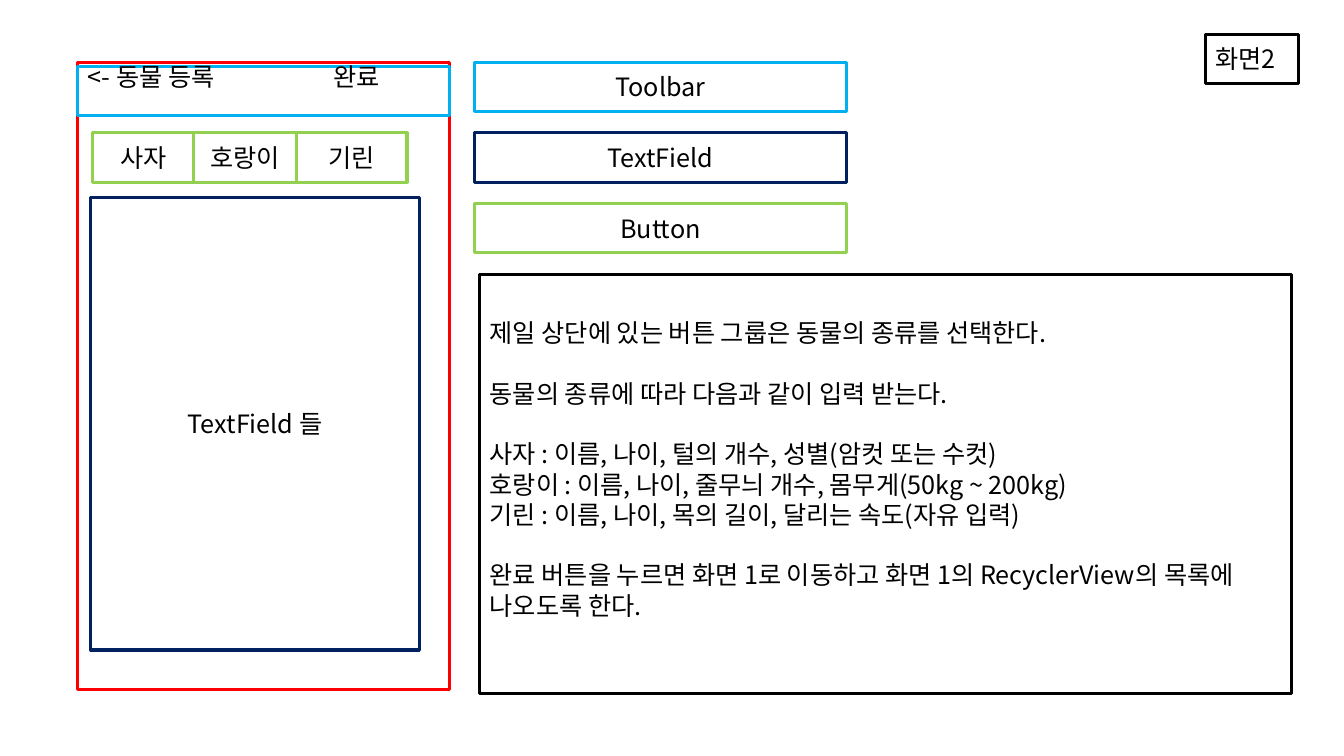
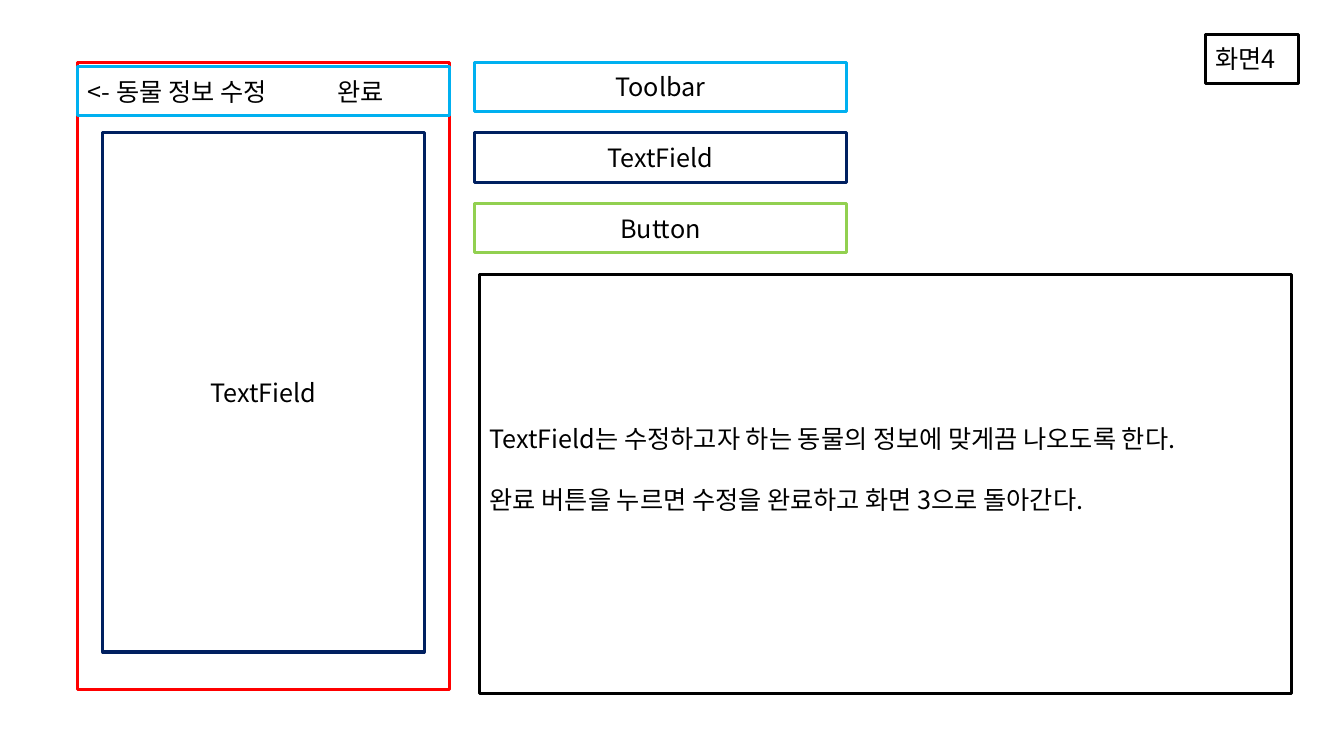
from dataclasses import dataclass
from itertools import accumulate

from lxml import etree
from pptx import Presentation
from pptx.dml.color import RGBColor
from pptx.enum.shapes import MSO_SHAPE
from pptx.enum.text import MSO_ANCHOR, MSO_AUTO_SIZE, PP_ALIGN
from pptx.oxml.ns import qn
from pptx.util import Cm, Pt

RECTANGLE = MSO_SHAPE.RECTANGLE
LEFT, CENTER = PP_ALIGN.LEFT, PP_ALIGN.CENTER
MIDDLE = MSO_ANCHOR.MIDDLE
NO_AUTOFIT = MSO_AUTO_SIZE.NONE
TITLE_AND_CONTENT = 1


@dataclass(frozen=True)
class Theme:
    font: str = "Noto Sans CJK KR"
    text_size: float = 18
    line_pitch: float = 21.6
    outline_width: float = 2.25
    black: str = "000000"
    phone: str = "FF0000"
    toolbar: str = "00B0F0"
    text_field: str = "002060"
    button: str = "92D050"


# Boxes are left, top, width, height in centimetres
ROW_HEIGHT = 1.24
ROW_TOP = 1.57
ROW_PITCH = 1.78
PHONE_BOX = (1.96, ROW_TOP, 9.37, 15.8)
TOOLBAR_BOX = (1.96, 1.68, 9.37, ROW_HEIGHT)
TAG_BOX = (30.38, 0.86, 2.34, ROW_HEIGHT)
DESCRIPTION_BOX = (12.09, 6.91, 20.45, 10.57)
LEGEND_LEFT, LEGEND_WIDTH = 11.96, 9.37
BUTTON_LEFT = 2.34
INSET = 0.13
RAISED_INSET = 0.89  # lifts centred text by half a line


class WireframeDeck:
    """Holds the presentation, its theme and the slide being filled."""

    def __init__(self, theme):
        self.theme = theme
        self.presentation = Presentation()
        self.presentation.slide_width = Cm(33.87)
        self.presentation.slide_height = Cm(19.05)
        self.slide = None

    def add_screen(self, tag, toolbar_text, tab_stop, description, bottom_inset=INSET):
        """Start a slide with everything that all screens share."""
        layout = self.presentation.slide_layouts[TITLE_AND_CONTENT]
        self.slide = self.presentation.slides.add_slide(layout)
        self.add_tag(tag)
        self.add_description(description)
        self.add_box(PHONE_BOX, self.theme.phone)
        self.add_toolbar(toolbar_text, tab_stop, bottom_inset)
        self.add_legend()

    def add_tag(self, text):
        title = self.slide.shapes.title
        self.style_box(title, TAG_BOX, self.theme.black)
        self.set_lines(title.text_frame, [text], LEFT)

    def add_description(self, groups):
        """Fill the body with groups of lines, one line of space between groups."""
        body = self.slide.placeholders[1]
        self.style_box(body, DESCRIPTION_BOX, self.theme.black, RAISED_INSET)
        self.set_lines(body.text_frame, [line for group in groups for line in group], LEFT)
        group_starts = set(accumulate(len(group) for group in groups))
        for index, paragraph in enumerate(body.text_frame.paragraphs):
            if index in group_starts:
                paragraph.space_before = Pt(self.theme.line_pitch)
            properties = paragraph._p.get_or_add_pPr()
            for name in ("marL", "indent"):
                properties.set(name, "0")
            etree.SubElement(properties, qn("a:buNone"))

    def add_toolbar(self, text, tab_stop, bottom_inset):
        toolbar = self.add_box(TOOLBAR_BOX, self.theme.toolbar, text, LEFT, bottom_inset)
        properties = toolbar.text_frame.paragraphs[0]._p.get_or_add_pPr()
        tabs = etree.SubElement(properties, qn("a:tabLst"))
        etree.SubElement(tabs, qn("a:tab"), pos=str(Cm(tab_stop)), algn="l")

    def add_legend(self):
        entries = {
            "Toolbar": self.theme.toolbar,
            "TextField": self.theme.text_field,
            "Button": self.theme.button,
        }
        for row, (label, color) in enumerate(entries.items()):
            top = ROW_TOP + row * ROW_PITCH
            self.add_box((LEGEND_LEFT, top, LEGEND_WIDTH, ROW_HEIGHT), color, label)

    def add_button_group(self, widths):
        left = BUTTON_LEFT
        for label, width in widths.items():
            box = (left, ROW_TOP + ROW_PITCH, width, ROW_HEIGHT)
            self.add_box(box, self.theme.button, label)
            left += width

    def add_text_field(self, box, text):
        self.add_box(box, self.theme.text_field, text)

    def add_box(self, box, color, text=None, alignment=CENTER, bottom_inset=INSET):
        shape = self.slide.shapes.add_shape(RECTANGLE, *map(Cm, box))
        self.style_box(shape, box, color, bottom_inset)
        if text:
            self.set_lines(shape.text_frame, [text], alignment)
        return shape

    def style_box(self, shape, box, color, bottom_inset=INSET):
        for name, value in zip(("left", "top", "width", "height"), box):
            setattr(shape, name, Cm(value))
        shape.shadow.inherit = False
        shape.fill.background()
        shape.line.color.rgb = RGBColor.from_string(color)
        shape.line.width = Pt(self.theme.outline_width)
        frame_format = {
            "word_wrap": True,
            "auto_size": NO_AUTOFIT,
            "vertical_anchor": MIDDLE,
            "margin_left": Cm(0.25),
            "margin_right": Cm(0.25),
            "margin_top": Cm(INSET),
            "margin_bottom": Cm(bottom_inset),
        }
        for name, value in frame_format.items():
            setattr(shape.text_frame, name, value)

    def set_lines(self, text_frame, lines, alignment):
        paragraph_format = {
            "alignment": alignment,
            "line_spacing": Pt(self.theme.line_pitch),
            "space_before": Pt(0),
            "space_after": Pt(0),
        }
        font_format = {"name": self.theme.font, "size": Pt(self.theme.text_size)}
        text_frame.text = "\n".join(lines)
        for paragraph in text_frame.paragraphs:
            for name, value in paragraph_format.items():
                setattr(paragraph, name, value)
            for run in paragraph.runs:
                for name, value in font_format.items():
                    setattr(run.font, name, value)
                run.font.color.rgb = RGBColor.from_string(self.theme.black)
                properties = run._r.get_or_add_rPr()
                etree.SubElement(properties, qn("a:ea"), typeface=self.theme.font)


def main():
    deck = WireframeDeck(Theme())

    deck.add_screen(
        "화면2",
        "<- 동물 등록\t완료",
        6.2,
        [
            ["제일 상단에 있는 버튼 그룹은 동물의 종류를 선택한다."],
            ["동물의 종류에 따라 다음과 같이 입력 받는다."],
            [
                "사자 : 이름, 나이, 털의 개수, 성별(암컷 또는 수컷)",
                "호랑이 : 이름, 나이, 줄무늬 개수, 몸무게(50kg ~ 200kg)",
                "기린 : 이름, 나이, 목의 길이, 달리는 속도(자유 입력)",
            ],
            ["완료 버튼을 누르면 화면 1로 이동하고 화면 1의 RecyclerView의 목록에 나오도록 한다."],
        ],
        bottom_inset=RAISED_INSET,
    )
    deck.add_text_field((2.29, 4.98, 8.28, 11.4), "TextField 들")
    deck.add_button_group({"사자": 2.54, "호랑이": 2.59, "기린": 2.79})

    deck.add_screen(
        "화면4",
        "<- 동물 정보 수정\t완료",
        6.3,
        [
            ["TextField는 수정하고자 하는 동물의 정보에 맞게끔 나오도록 한다."],
            ["완료 버튼을 누르면 수정을 완료하고 화면 3으로 돌아간다."],
        ],
    )
    deck.add_text_field((2.59, 3.35, 8.1, 13.08), "TextField")

    deck.presentation.save("out.pptx")


if __name__ == "__main__":
    main()
